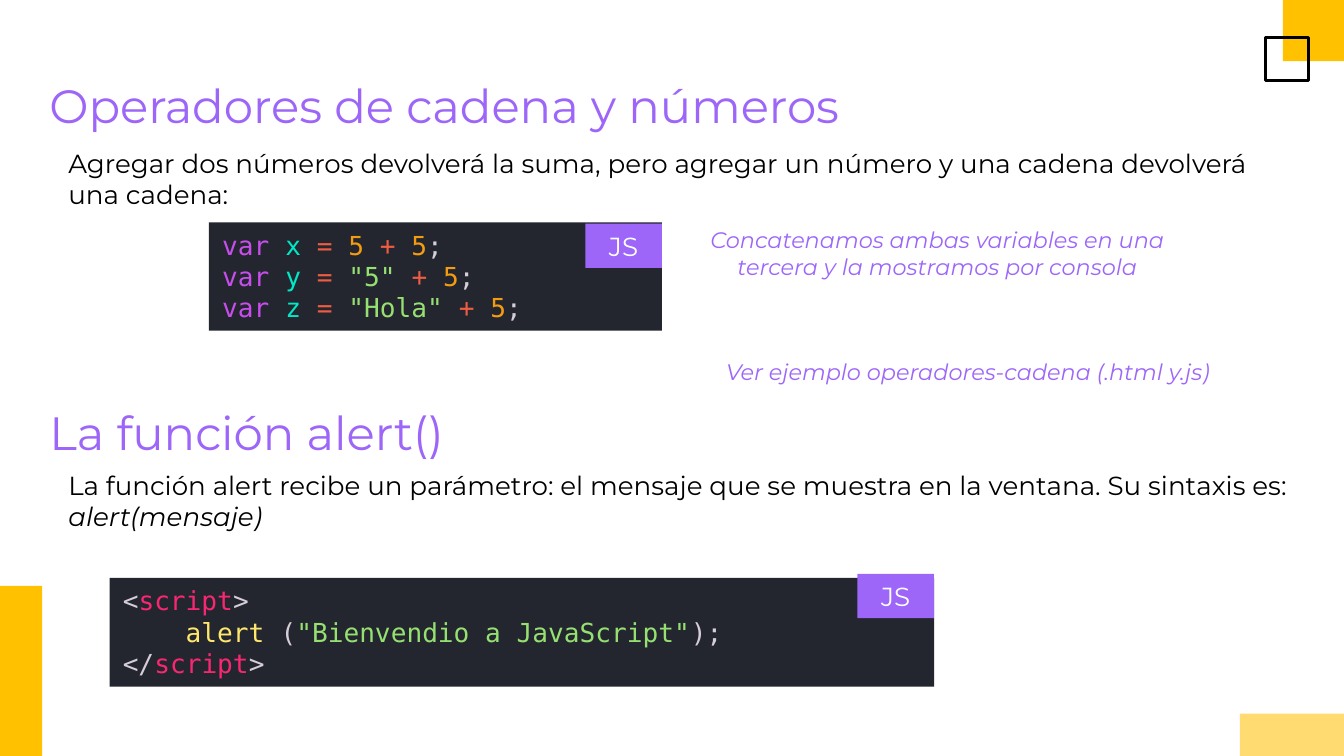
from collections import namedtuple

from pptx import Presentation
from pptx.dml.color import RGBColor
from pptx.enum.shapes import MSO_SHAPE as Shape
from pptx.enum.text import MSO_ANCHOR as Anchor, PP_ALIGN as Align
from pptx.util import Emu, Pt

EMU_PER_PX = 4572  # 200 px to the inch
WIDTH, HEIGHT = 2000, 1125
SANS, MONO = "Montserrat", "DejaVu Sans Mono"

BLACK = RGBColor(0x00, 0x00, 0x00)
WHITE = RGBColor(0xFF, 0xFF, 0xFF)
PURPLE = RGBColor(0x9D, 0x66, 0xF9)
YELLOW = RGBColor(0xFF, 0xC1, 0x00)
PALE_YELLOW = RGBColor(0xFF, 0xDB, 0x71)
PANEL = RGBColor(0x23, 0x26, 0x2E)
KEYWORD = RGBColor(0xC7, 0x4D, 0xED)
VARIABLE = RGBColor(0x00, 0xE8, 0xC6)
OPERATOR = RGBColor(0xEE, 0x5D, 0x43)
NUMBER = RGBColor(0xF3, 0x9C, 0x12)
STRING = RGBColor(0x96, 0xE0, 0x72)
PLAIN = RGBColor(0xD5, 0xCE, 0xD9)
TAG = RGBColor(0xF9, 0x26, 0x72)
FUNCTION = RGBColor(0xFF, 0xE6, 0x6D)

Box = namedtuple("Box", "left top width height")


def px(length):
    return Emu(length * EMU_PER_PX)


def inside(box, left, top, width, height):
    """Return a box placed relative to the corner of another."""
    return Box(box.left + left, box.top + top, width, height)


def add_rect(page, box, fill=None, line=None):
    rect = page.shapes.add_shape(Shape.RECTANGLE, *map(px, box))
    rect.shadow.inherit = False
    if fill is None:
        rect.fill.background()
    else:
        rect.fill.solid()
        rect.fill.fore_color.rgb = fill
    if line is None:
        rect.line.fill.background()
    else:
        rect.line.color.rgb = line
        rect.line.width = Pt(1.5)
    return rect


def write(shape, lines, size=14, font=SANS, color=BLACK, align=Align.LEFT,
          anchor=Anchor.TOP, italic=False, inset=20):
    """Fill a shape; each line is a list of (text, format) spans."""
    frame = shape.text_frame
    frame.word_wrap = True
    frame.vertical_anchor = anchor
    frame.margin_left = frame.margin_right = px(20)
    frame.margin_top = frame.margin_bottom = px(inset)
    for index, line in enumerate(lines):
        para = frame.add_paragraph() if index else frame.paragraphs[0]
        para.alignment = align
        for text, style in line:
            span = para.add_run()
            span.text = text
            span.font.size = Pt(size)
            span.font.name = font
            span.font.color.rgb = style.get("color", color)
            span.font.italic = style.get("italic", italic)


def add_text(page, box, *spans, **style):
    write(page.shapes.add_textbox(*map(px, box)), [spans], **style)


def add_decoration(page, box):
    add_rect(page, inside(box, box.width - 91, 0, 91, 91), fill=YELLOW)
    add_rect(page, inside(box, 0, box.height - 253, 63, 253), fill=YELLOW)
    add_rect(page, inside(box, box.width - 117, 56, 64, 64), line=BLACK)
    add_rect(page, inside(box, box.width - 155, box.height - 63, 155, 63),
             fill=PALE_YELLOW)


def add_code(page, box, lines, badge_top):
    """Draw a code panel with a JS badge at its right edge."""
    spans = [[(text, {"color": color}) for text, color in line]
             for line in lines]
    write(add_rect(page, box, fill=PANEL), spans, font=MONO, inset=10)
    badge = add_rect(page, inside(box, box.width - 114, badge_top, 114, 66),
                     fill=PURPLE)
    write(badge, [[("JS", {})]], color=WHITE, align=Align.CENTER,
          anchor=Anchor.MIDDLE)


def add_heading(page, box, title):
    add_text(page, inside(box, 0, 0, box.width, 126), (title, {}),
             size=25, color=PURPLE)


def sum_line(name, value, color):
    return [("var ", KEYWORD), (name + " ", VARIABLE), ("= ", OPERATOR),
            (value + " ", color), ("+ ", OPERATOR), ("5", NUMBER),
            (";", PLAIN)]


def add_operators_section(page, box):
    add_heading(page, box, "Operadores de cadena y números")
    add_text(page, inside(box, 28, 105, 1870, 84),
             ("Agregar dos números devolverá la suma, pero agregar un número "
              "y una cadena devolverá una cadena:", {}))
    add_code(page, inside(box, 257, 237, 674, 161),
             [sum_line("x", "5", NUMBER),
              sum_line("y", '"5"', STRING),
              sum_line("z", '"Hola"', STRING)], badge_top=2)
    note = {"size": 12, "color": PURPLE, "italic": True}
    add_text(page, inside(box, 926, 223, 830, 116),
             ("Concatenamos ambas variables en una tercera y la mostramos "
              "por consola", {}), align=Align.CENTER, **note)
    add_text(page, inside(box, 1007, 419, 808, 92),
             ("Ver ejemplo operadores-cadena (.html y.js)", {}), **note)


def add_alert_section(page, box):
    add_heading(page, box, "La función alert()")
    add_text(page, inside(box, 28, 97, 1882, 154),
             ("La función alert recibe un parámetro: el mensaje que se "
              "muestra en la ventana. Su sintaxis es: ", {}),
             ("alert(mensaje)", {"italic": True}))
    add_code(page, inside(box, 109, 279, 1227, 162),
             [[("<", PLAIN), ("script", TAG), (">", PLAIN)],
              [("    alert", FUNCTION), (" (", PLAIN),
               ('"Bienvendio a JavaScript"', STRING), (");", PLAIN)],
              [("</", PLAIN), ("script", TAG), (">", PLAIN)]], badge_top=-6)


def main():
    deck = Presentation()
    deck.slide_width, deck.slide_height = px(WIDTH), px(HEIGHT)
    page = deck.slides.add_slide(deck.slide_layouts[6])
    add_decoration(page, Box(0, 0, WIDTH, HEIGHT))
    add_operators_section(page, Box(54, 94, 1894, 511))
    add_alert_section(page, Box(54, 581, 1894, 441))
    deck.save("out.pptx")


if __name__ == "__main__":
    main()
